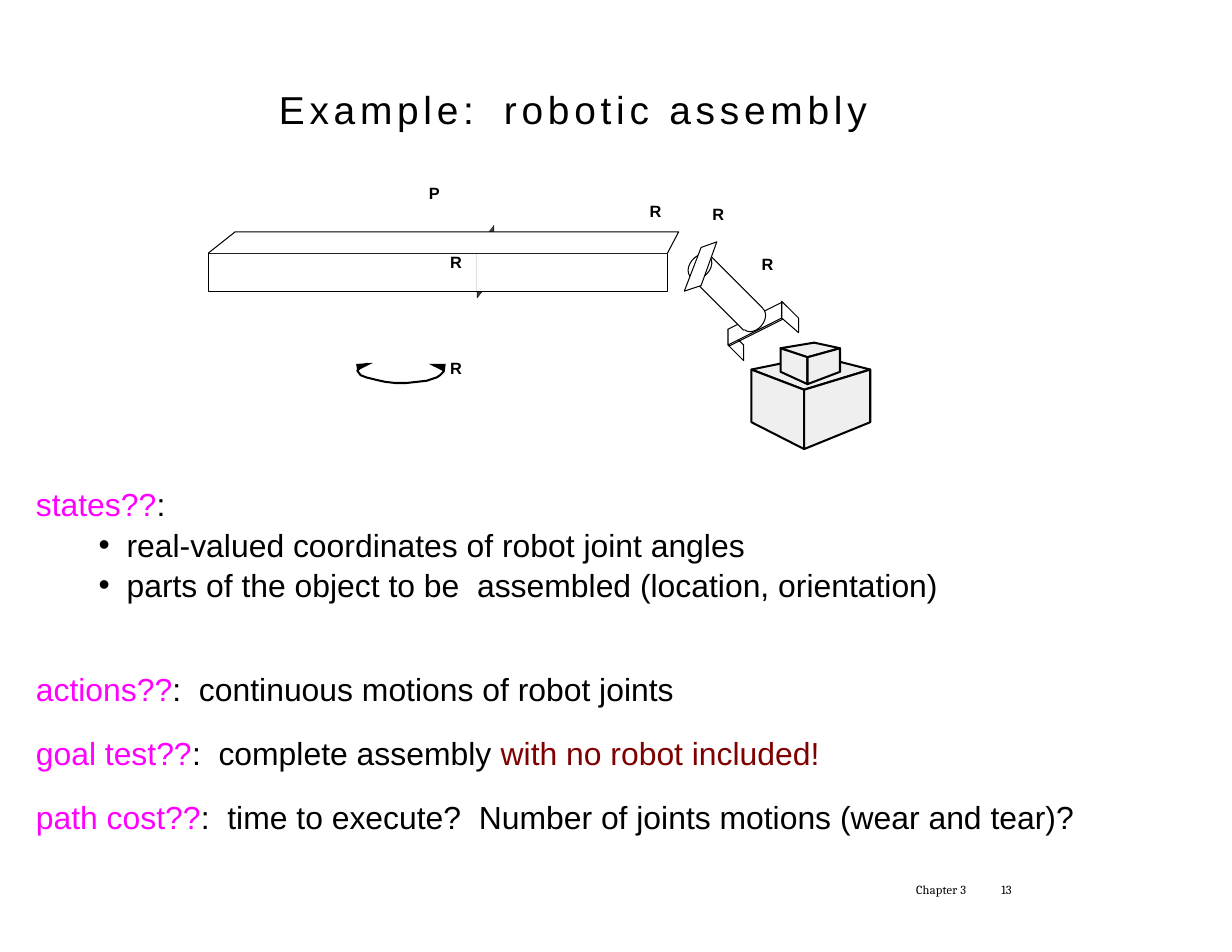
from dataclasses import dataclass, field

from lxml.etree import SubElement
from pptx import Presentation
from pptx.dml.color import RGBColor
from pptx.enum.shapes import MSO_SHAPE
from pptx.enum.text import MSO_ANCHOR, MSO_AUTO_SIZE, PP_ALIGN
from pptx.oxml.ns import qn
from pptx.util import Inches, Pt

COLORS = {
    "black": "000000", "white": "FFFFFF", "block": "EFEFEF", "edge": "BEBEBE",
    "slider": "3E3E3E", "term": "FF00FF", "remark": "7E0000",
}
THIN, THICK = 0.65, 1.3

JOINT_LABELS = [
    ("R", 4.02, 3.2), ("R", 6.36, 1.82), ("R", 5.8, 1.8),
    ("P", 3.83, 1.64), ("R", 4.02, 2.25), ("R", 6.8, 2.27),
]
ROTATION_ARC = [
    (3.29, 3.25), (3.27, 3.25), (3.23, 3.27), (3.2, 3.3), (3.19, 3.31), (3.22, 3.35),
    (3.27, 3.37), (3.35, 3.39), (3.44, 3.41), (3.53, 3.42), (3.63, 3.42), (3.72, 3.41),
    (3.81, 3.4), (3.9, 3.37), (3.93, 3.35), (3.96, 3.32), (3.96, 3.31), (3.93, 3.28),
    (3.87, 3.26),
]
ARC_HEADS = [
    [(3.18, 3.25), (3.19, 3.31), (3.33, 3.24)],
    [(3.83, 3.25), (3.97, 3.32), (3.98, 3.25)],
]
PROBLEM = [
    (0, False, [("states??", "term"), (":", "black")]),
    (1.3, True, [("real-valued coordinates of robot joint angles", "black")]),
    (1.3, True, [("parts of the object to be  assembled (location, orientation)", "black")]),
    (42, False, [("actions??", "term"), (":  continuous motions of robot joints", "black")]),
    (16.6, False, [("goal test??", "term"), (":  complete assembly ", "black"),
                   ("with no robot included!", "remark")]),
    (16.6, False, [("path cost??", "term"),
                   (":  time to execute?  Number of joints motions (wear and tear)?", "black")]),
]


@dataclass
class SlideBuilder:
    """Holds the style and the current slide, and draws each kind of element."""

    slide: object
    font: str = "Arial"
    footer_font: str = "Cambria"
    colors: dict = field(default_factory=lambda: COLORS)

    def color(self, name):
        return RGBColor.from_string(self.colors[name])

    def place(self, shape, left, top, width, height):
        shape.left, shape.top = Inches(left), Inches(top)
        shape.width, shape.height = Inches(width), Inches(height)
        frame = shape.text_frame
        frame.word_wrap = True
        frame.auto_size = MSO_AUTO_SIZE.NONE
        frame.vertical_anchor = MSO_ANCHOR.TOP
        frame.margin_left = frame.margin_right = frame.margin_top = frame.margin_bottom = 0
        return frame

    def format(self, paragraph, size, name, bold=False):
        paragraph.alignment = PP_ALIGN.LEFT
        paragraph.font.size = Pt(size)
        paragraph.font.name = name
        paragraph.font.bold = bold
        paragraph.font.color.rgb = self.color("black")

    def spread(self, paragraph, points):
        for run in paragraph.runs:
            run._r.get_or_add_rPr().set("spc", str(round(points * 100)))

    def title(self, text, tab):
        frame = self.place(self.slide.shapes.title, 0.66, 0.84, 8.44, 1.42)
        frame.margin_left = Inches(1.83)
        paragraph = frame.paragraphs[0]
        paragraph.add_run().text = text
        tabs = SubElement(paragraph._p.get_or_add_pPr(), qn("a:tabLst"))
        SubElement(tabs, qn("a:tab"), pos=str(Inches(tab)), algn="l")
        paragraph.line_spacing = Pt(24.3)
        self.format(paragraph, 25, self.font)
        self.spread(paragraph, 3.1)

    def body(self, items):
        frame = self.place(self.slide.placeholders[1], 0.32, 4.33, 9.39, 3.39)
        for index, (space, bulleted, parts) in enumerate(items):
            paragraph = frame.add_paragraph() if index else frame.paragraphs[0]
            properties = paragraph._p.get_or_add_pPr()
            properties.set("marL", str(Inches(0.81 if bulleted else 0)))
            properties.set("indent", str(Inches(-0.25 if bulleted else 0)))
            if bulleted:
                SubElement(properties, qn("a:buChar"), char="•")
            else:
                SubElement(properties, qn("a:buNone"))
            paragraph.line_spacing = 1.0
            paragraph.space_before = Pt(space)
            self.format(paragraph, 20.5, self.font)
            for text, color in parts:
                run = paragraph.add_run()
                run.text = text
                run.font.color.rgb = self.color(color)

    def text(self, text, left, top, width, height):
        box = self.slide.shapes.add_textbox(0, 0, 0, 0)
        paragraph = self.place(box, left, top, width, height).paragraphs[0]
        paragraph.text = text
        return paragraph

    def joint_label(self, text, left, top):
        self.format(self.text(text, left, top, 0.13, 0.17), 10.5, self.font, bold=True)

    def footer(self, text, left, width):
        paragraph = self.text(text, left, 7.89, width, 0.15)
        paragraph.line_spacing = Pt(8.8)
        self.format(paragraph, 8, self.footer_font)
        self.spread(paragraph, 0.1)

    def paint(self, shape, fill, line):
        shape.shadow.inherit = False
        if fill:
            shape.fill.solid()
            shape.fill.fore_color.rgb = self.color(fill)
        else:
            shape.fill.background()
        if line:
            shape.line.color.rgb = self.color("black")
            shape.line.width = Pt(line)
        else:
            shape.line.fill.background()

    def outline(self, points, fill=None, line=None, closed=True):
        corners = [(Inches(x), Inches(y)) for x, y in points]
        builder = self.slide.shapes.build_freeform(*corners[0])
        builder.add_line_segments(corners[1:], close=closed)
        self.paint(builder.convert_to_shape(), fill, line)

    def wheel(self, center_x, center_y, width=0.18, height=0.25):
        shape = self.slide.shapes.add_shape(
            MSO_SHAPE.OVAL, Inches(center_x - width / 2), Inches(center_y - height / 2),
            Inches(width), Inches(height))
        shape.rotation = 40
        self.paint(shape, "white", THIN)

    def block(self, left, front, right, back, drop):
        """Draws a block from the four corners of its top and the drop of each side."""
        side, middle = drop
        low_left = (left[0], left[1] + side)
        low_right = (right[0], right[1] + side)
        low_front = (front[0], front[1] + middle)
        for face in ([left, front, right, back],
                     [left, low_left, low_front, front],
                     [front, low_front, low_right, right]):
            self.outline(face, "block", THICK)


def draw_robot(builder):
    builder.outline([(6.5, 3.08), (6.64, 3.22), (6.64, 3.08), (6.5, 2.94)],
                    line=THIN, closed=False)
    builder.outline([(6.51, 2.95), (6.51, 3.09), (6.99, 2.85), (6.99, 2.71)], line=THIN)
    builder.outline([(6.5, 2.94), (6.5, 3.08), (6.98, 2.84), (6.98, 2.7)], "white", THIN)
    builder.outline([(6.98, 2.7), (6.98, 2.74), (6.99, 2.71)], "edge")
    builder.outline([(6.98, 2.69), (7.13, 2.84), (7.13, 2.97), (6.98, 2.84)], "white", THIN)
    builder.wheel(6.73, 2.85)
    builder.outline([(6.81, 2.75), (6.33, 2.27), (6.16, 2.47), (6.64, 2.95)],
                    "white", THIN, closed=False)
    builder.wheel(6.25, 2.38)
    builder.outline([(6.26, 2.55), (6.4, 2.16), (6.26, 2.21), (6.11, 2.6)], "white", THIN)
    builder.outline([(4.41, 2.01), (4.41, 2.47), (4.26, 2.66), (4.26, 2.2)],
                    "slider", 0.25, closed=False)
    builder.outline([(5.96, 2.6), (5.96, 2.26), (4.26, 2.26), (4.26, 2.6)], "white")
    builder.outline([(5.96, 2.6), (5.96, 2.26), (1.86, 2.26), (1.86, 2.6)], line=THIN)
    builder.outline([(1.86, 2.26), (2.1, 2.07), (6.06, 2.07), (5.96, 2.26)],
                    "white", THIN, closed=False)


def main():
    presentation = Presentation()
    presentation.slide_width, presentation.slide_height = Inches(11), Inches(8.5)
    slide = presentation.slides.add_slide(presentation.slide_layouts[1])
    builder = SlideBuilder(slide)

    builder.title("Example:\trobotic assembly", tab=2.01)
    draw_robot(builder)
    for label in JOINT_LABELS:
        builder.joint_label(*label)
    builder.outline(ROTATION_ARC, line=THICK, closed=False)
    for head in ARC_HEADS:
        builder.outline(head, "black")
    builder.block((6.71, 3.3), (7.18, 3.48), (7.77, 3.3), (7.3, 3.18), drop=(0.47, 0.53))
    builder.block((6.97, 3.11), (7.21, 3.19), (7.5, 3.11), (7.27, 3.06), drop=(0.21, 0.24))
    builder.body(PROBLEM)
    builder.footer("Chapter 3", 8.18, 0.54)
    builder.footer("13", 8.94, 0.17)
    presentation.save("out.pptx")


if __name__ == "__main__":
    main()
